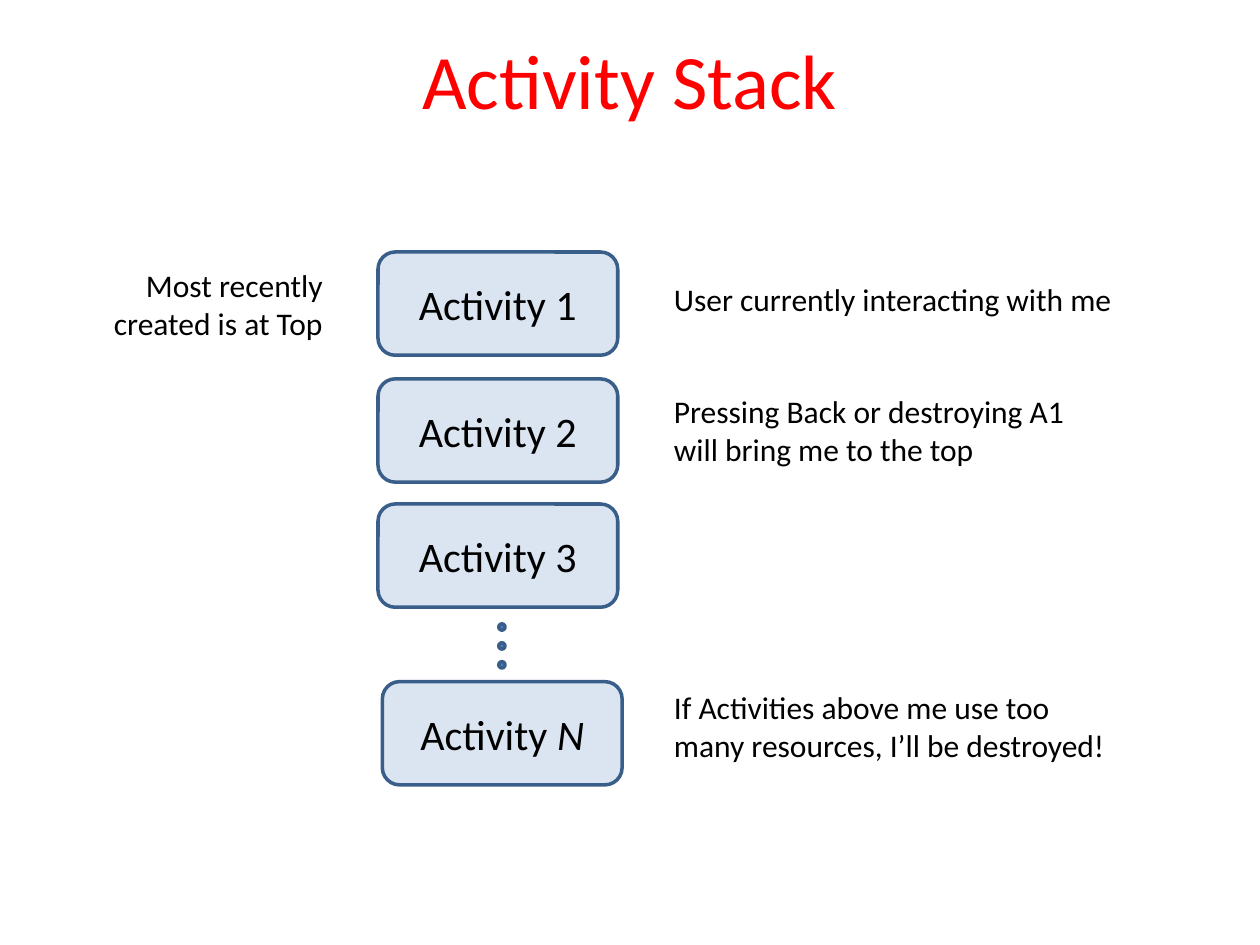
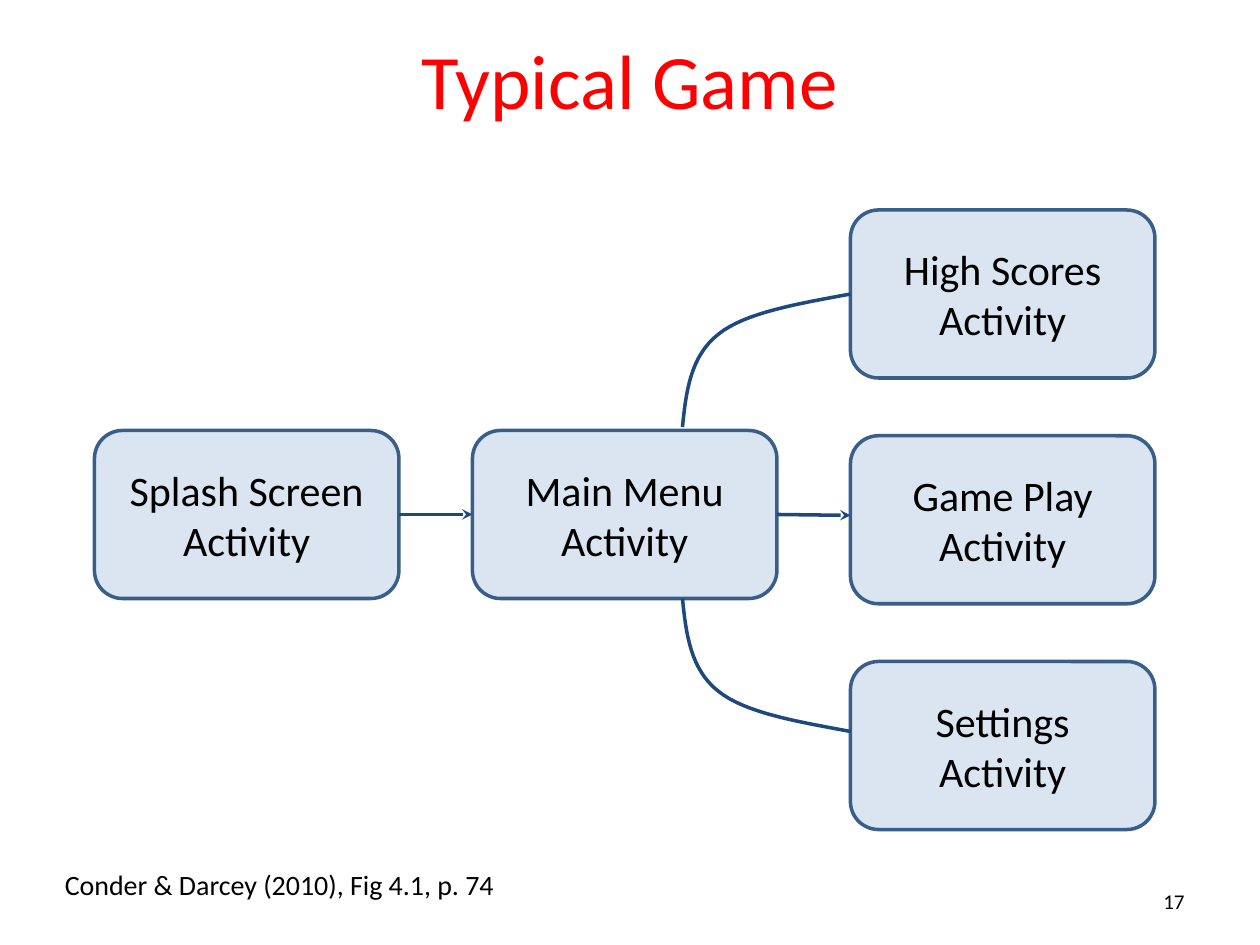
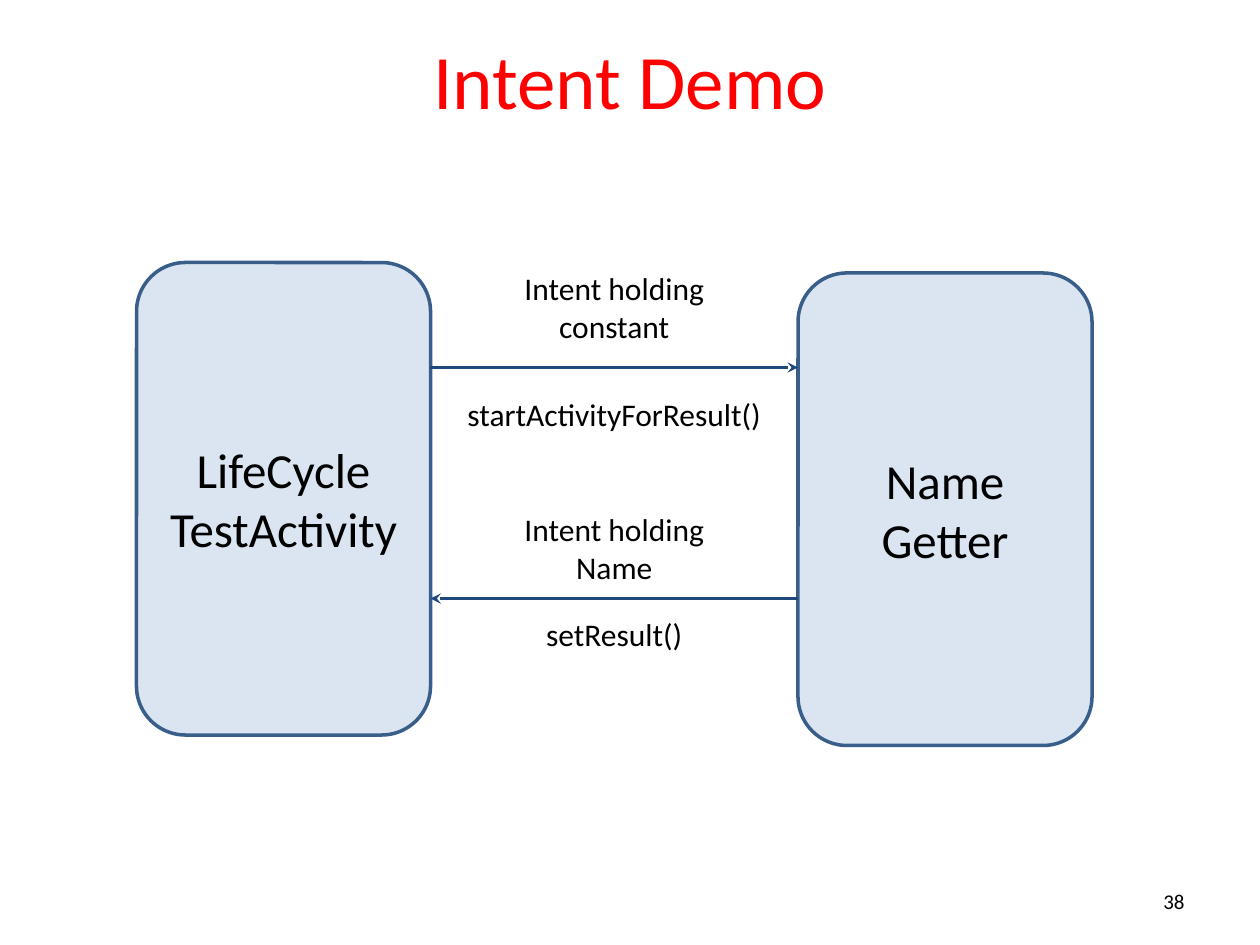
import pptx
import pptx.util
import pptx.dml.color
import pptx.enum.shapes
import pptx.enum.text
import pptx.oxml.ns
import lxml.etree

Pt = pptx.util.Pt
RGB = pptx.dml.color.RGBColor.from_string
SHAPE = pptx.enum.shapes.MSO_SHAPE
ALIGN = pptx.enum.text.PP_ALIGN
ANCHOR = pptx.enum.text.MSO_ANCHOR
FIT = pptx.enum.text.MSO_AUTO_SIZE
qn = pptx.oxml.ns.qn

COLORS = {"title": "FF0000", "text": "000000", "box": "DAE5F1",
          "border": "395E89", "dot": "4F81BD", "link": "1F497D"}


def write(sp, text, size, align=ALIGN.LEFT, color="text", **frame):
    tf = sp.text_frame
    for name, value in {"word_wrap": True, **frame}.items():
        setattr(tf, name, value)
    tf.text = text
    for p in tf.paragraphs:
        p.alignment = align
        for name, value in {"name": "Calibri", "size": Pt(size)}.items():
            setattr(p.font, name, value)
        p.font.color.rgb = RGB(COLORS[color])
        for r in p.runs:
            r.font.color.rgb = RGB(COLORS[color])


def outline(sp, fill, line):
    if fill:
        sp.fill.solid()
        sp.fill.fore_color.rgb = RGB(COLORS[fill])
    sp.line.width = Pt(2)
    sp.line.color.rgb = RGB(COLORS[line])


slides = [
    {"title": "Activity Stack", "number": None, "size": 24,
     "boxes": [("Activity 1", 216, 144, 137, 59),
               ("Activity 2", 216, 216.5, 137, 59),
               ("Activity 3", 216, 288, 137, 59),
               ("Activity ", 218.5, 389.5, 137, 59)],
     "notes": [("User currently interacting with me", 378, 156.5, 276, 29, 18, ALIGN.LEFT),
               ("Pressing Back or destroying A1 will bring me to the top",
                378, 220.5, 264, 51, 18, ALIGN.LEFT),
               ("If Activities above me use too many resources, I’ll be destroyed!",
                378, 389.5, 264, 51, 18, ALIGN.LEFT),
               ("Most recently created is at Top", 48, 148.5, 143.5, 51, 18, ALIGN.RIGHT)],
     "arrows": []},
    {"title": "Typical Game", "number": "17", "size": 24,
     "boxes": [("Splash Screen\nActivity", 54, 246, 174, 96),
               ("Main Menu\nActivity", 270, 246, 174, 96),
               ("Game Play\nActivity", 486, 249, 174, 96),
               ("High Scores\nActivity", 486, 120, 174, 96),
               ("Settings\nActivity", 486, 378, 174, 96)],
     "notes": [("Conder & Darcey (2010), Fig 4.1, p. 74", 30, 492, 372, 26.5, 16, ALIGN.LEFT)],
     "arrows": [(228, 294, 270, 294), (444, 294, 486, 294.5)]},
    {"title": "Intent Demo", "number": "38", "size": 28,
     "boxes": [("LifeCycle\vTestActivity", 78, 150, 168, 270),
               ("Name\vGetter", 456, 156, 168, 270)],
     "notes": [("Intent holding constant", 288, 150, 126, 51, 18, ALIGN.CENTER),
               ("startActivityForResult()", 258, 222, 186, 29, 18, ALIGN.CENTER),
               ("Intent holding\nName", 288, 288, 126, 51, 18, ALIGN.CENTER),
               ("setResult()", 258, 348, 186, 29, 18, ALIGN.CENTER)],
     "arrows": [(246, 210, 456, 210), (456, 342, 246, 342)]},
]

prs = pptx.Presentation()
prs.slide_width, prs.slide_height = Pt(720), Pt(540)

for slide in slides:
    s = prs.slides.add_slide(prs.slide_layouts[5])
    title = s.shapes.title
    for name, value in {"left": 36, "top": 0, "width": 648, "height": 90}.items():
        setattr(title, name, Pt(value))
    write(title, slide["title"], 44, ALIGN.CENTER, "title", vertical_anchor=ANCHOR.MIDDLE)

    if slide["number"]:
        sp = s.shapes.add_textbox(Pt(516), Pt(500.5), Pt(168), Pt(29))
        write(sp, slide["number"], 12, ALIGN.RIGHT, vertical_anchor=ANCHOR.MIDDLE)

    for text, x, y, w, h, size, align in slide["notes"]:
        sp = s.shapes.add_textbox(Pt(x), Pt(y), Pt(w), Pt(h))
        write(sp, text, size, align, auto_size=FIT.SHAPE_TO_FIT_TEXT)

    for text, x, y, w, h in slide["boxes"]:
        sp = s.shapes.add_shape(SHAPE.ROUNDED_RECTANGLE, Pt(x), Pt(y), Pt(w), Pt(h))
        sp.shadow.inherit = False
        outline(sp, "box", "border")
        write(sp, text, slide["size"], ALIGN.CENTER, vertical_anchor=ANCHOR.MIDDLE)
    slide["last_box"] = sp

    for x1, y1, x2, y2 in slide["arrows"]:
        sp = s.shapes.add_connector(pptx.enum.shapes.MSO_CONNECTOR.STRAIGHT,
                                    Pt(x1), Pt(y1), Pt(x2), Pt(y2))
        outline(sp, None, "link")
        spPr = sp.element.spPr
        lxml.etree.SubElement(spPr.find(qn("a:ln")), qn("a:tailEnd"), type="stealth")
        lxml.etree.SubElement(spPr, qn("a:effectLst"))

stack, game, demo = prs.slides

r = slides[0]["last_box"].text_frame.paragraphs[0].add_run()
r.text = "N"
r.font.italic = True
r.font.color.rgb = RGB(COLORS["text"])

for i in range(3):
    sp = stack.shapes.add_shape(SHAPE.OVAL, Pt(285), Pt(356.5 + 10.8 * i), Pt(3.6), Pt(3.6))
    sp.shadow.inherit = False
    outline(sp, "dot", "border")

bends = [[(390, 244), (392, 224), (394.5, 203.5), (410.5, 191)],
         [(410.5, 191), (426, 178.5), (456.5, 173.5), (486, 168)]]
steps = 16
curve = [bends[0][0]]
for a, b, c, d in bends:
    for i in range(1, steps + 1):
        t = i / steps
        weights = ((1 - t) ** 3, 3 * t * (1 - t) ** 2, 3 * t ** 2 * (1 - t), t ** 3)
        curve.append(tuple(sum(k * q[axis] for k, q in zip(weights, (a, b, c, d)))
                           for axis in (0, 1)))

mirror = 586
for points in (curve, [(x, mirror - y) for x, y in curve]):
    points = [(Pt(x), Pt(y)) for x, y in points]
    builder = game.shapes.build_freeform(*points[0], scale=1.0)
    builder.add_line_segments(points[1:], close=False)
    sp = builder.convert_to_shape()
    sp.shadow.inherit = False
    sp.fill.background()
    outline(sp, None, "link")

prs.save("out.pptx")
